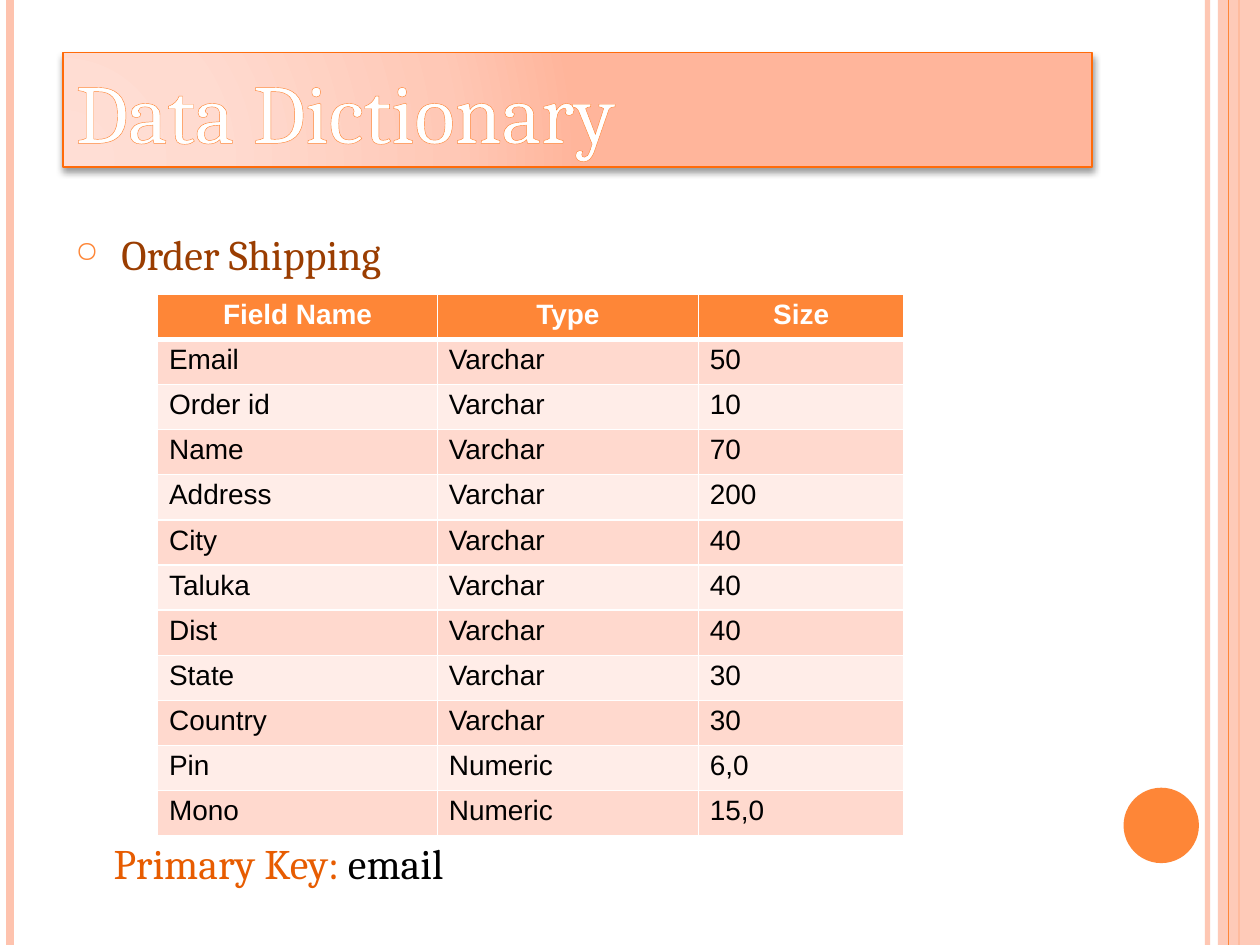
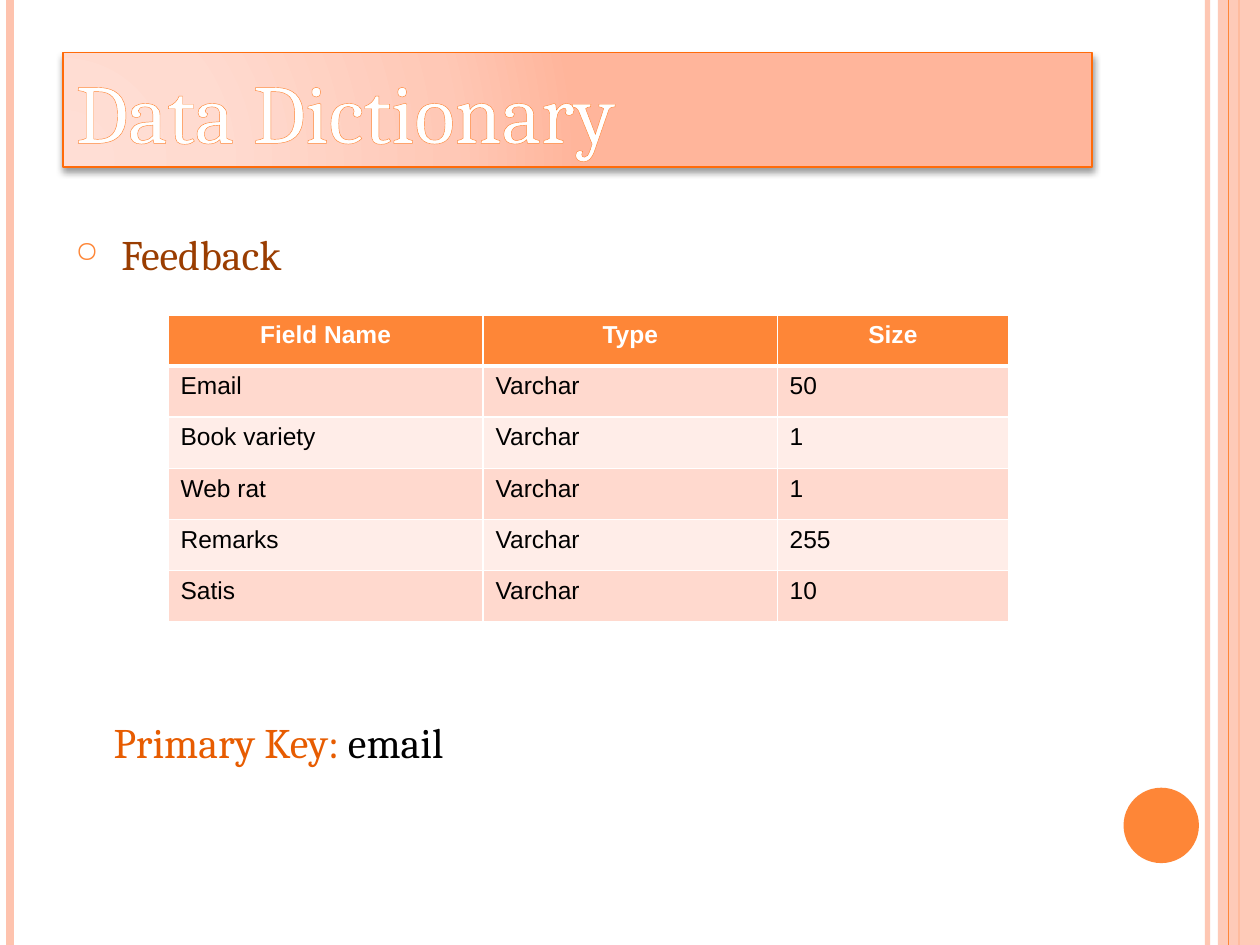
"""Build two data dictionary slides that share one decorated frame."""
from lxml import etree
from pptx import Presentation
from pptx import oxml
from pptx import util as u
from pptx.dml.color import RGBColor
from pptx.enum import shapes, text
from pptx.oxml import ns

WHITE = RGBColor(0xFF, 0xFF, 0xFF)
BLACK = RGBColor(0x00, 0x00, 0x00)
ORANGE = RGBColor(0xFE, 0x86, 0x37)
BRIGHT_ORANGE = RGBColor(0xFF, 0x6B, 0x0A)
DEEP_ORANGE = RGBColor(0xE7, 0x5C, 0x01)
BROWN = RGBColor(0x9A, 0x3D, 0x01)
PEACH = RGBColor(0xFE, 0xC3, 0xAE)
ROW_FILLS = (RGBColor(0xFF, 0xD9, 0xCE), RGBColor(0xFF, 0xED, 0xE8))
TITLE_STOPS = (
    (0, RGBColor(0xFF, 0xDE, 0xD5)),
    (30, RGBColor(0xFF, 0xDB, 0xD0)),
    (75, RGBColor(0xFF, 0xC8, 0xB6)),
    (100, RGBColor(0xFF, 0xB5, 0x9B)),
)
SERIF, SANS = "Cambria", "Arial"
SLIDE_WIDTH, SLIDE_HEIGHT = u.Cm(25.4), u.Cm(19.05)
HEADERS = ("Field Name", "Type", "Size")

ORDER_FIELDS = (
    ("Email", "Varchar", "50"),
    ("Order id", "Varchar", "10"),
    ("Name", "Varchar", "70"),
    ("Address", "Varchar", "200"),
    ("City", "Varchar", "40"),
    ("Taluka", "Varchar", "40"),
    ("Dist", "Varchar", "40"),
    ("State", "Varchar", "30"),
    ("Country", "Varchar", "30"),
    ("Pin", "Numeric", "6,0"),
    ("Mono", "Numeric", "15,0"),
)
FEEDBACK_FIELDS = (
    ("Email", "Varchar", "50"),
    ("Book variety", "Varchar", "1"),
    ("Web rat", "Varchar", "1"),
    ("Remarks", "Varchar", "255"),
    ("Satis", "Varchar", "10"),
)


def make_xml(tag, content="", attributes=""):
    """Return a DrawingML element with the given content."""
    return oxml.parse_xml(f"<a:{tag} {ns.nsdecls('a')} {attributes}>{content}</a:{tag}>")


def solid(color):
    """Return the markup of a solid fill."""
    return f'<a:solidFill><a:srgbClr val="{color}"/></a:solidFill>'


def write(para, words, size=24, font=SERIF, color=BLACK, bold=False, outline=None):
    """Add a formatted span of text to a paragraph."""
    span = para.add_run()
    span.text = words
    span.font.size = u.Pt(size)
    span.font.name = font
    span.font.bold = bold
    span.font.color.rgb = color
    if outline is not None:
        properties = span.font._element
        properties.insert(0, make_xml("ln", solid(outline), f'w="{u.Pt(0.8)}"'))


def set_opacity(element, percent):
    """Make the solid colour inside an element partly transparent."""
    color = element.find(".//" + ns.qn("a:srgbClr"))
    etree.SubElement(color, ns.qn("a:alpha"), val=str(percent * 1000))


def add_rail(page, x, color, width, opacity=100):
    """Draw a vertical line over the full height of the slide."""
    rail = page.shapes.add_connector(
        shapes.MSO_CONNECTOR.STRAIGHT, u.Cm(x), 0, u.Cm(x), SLIDE_HEIGHT)
    rail.line.color.rgb = color
    rail.line.width = u.Pt(width)
    properties = rail._element.spPr
    properties.append(make_xml("effectLst"))
    if opacity < 100:
        set_opacity(properties, opacity)


def add_plain_shape(page, kind, left, top, width, height, color):
    """Add a preset shape with a solid fill and no line."""
    shape = page.shapes.add_shape(kind, left, top, width, height)
    shape.shadow.inherit = False
    shape.fill.solid()
    shape.fill.fore_color.rgb = color
    shape.line.fill.background()
    return shape


def add_frame(page):
    """Draw the rails, side band and disc found on every slide."""
    add_rail(page, 24.34, PEACH, 3, opacity=93)
    add_rail(page, 0.21, PEACH, 4.5)
    add_rail(page, 24.98, ORANGE, 1.5)
    band = add_plain_shape(page, shapes.MSO_SHAPE.RECTANGLE, u.Cm(24.55), 0,
                           u.Cm(0.85), SLIDE_HEIGHT, PEACH)
    set_opacity(band._element.spPr, 87)
    add_rail(page, 24.77, ORANGE, 0.75)
    add_plain_shape(page, shapes.MSO_SHAPE.OVAL, u.Cm(22.65), u.Cm(15.88),
                    u.Cm(1.52), u.Cm(1.52), ORANGE)


def format_title(title, words):
    """Place the title and give it a gradient, a border and a shadow."""
    title.left, title.top = u.Cm(1.27), u.Cm(1.06)
    title.width, title.height = u.Cm(20.75), u.Cm(2.31)
    title.line.color.rgb = BRIGHT_ORANGE
    title.line.width = u.Pt(1)
    stops = "".join(
        f'<a:gs pos="{position * 1000}"><a:srgbClr val="{color}"/></a:gs>'
        for position, color in TITLE_STOPS)
    gradient = make_xml(
        "gradFill",
        f'<a:gsLst>{stops}</a:gsLst><a:path path="circle">'
        '<a:fillToRect l="5000" t="100000" r="120000" b="10000"/></a:path>',
        'rotWithShape="1"')
    shadow = make_xml(
        "effectLst",
        f'<a:outerShdw blurRad="{u.Pt(4)}" dist="{u.Pt(2)}" dir="5400000" rotWithShape="0">'
        '<a:srgbClr val="000000"><a:alpha val="40000"/></a:srgbClr></a:outerShdw>')
    properties = title._element.spPr
    properties.find(ns.qn("a:ln")).addprevious(gradient)
    properties.append(shadow)
    frame = title.text_frame
    frame.auto_size = text.MSO_AUTO_SIZE.NONE
    frame.vertical_anchor = text.MSO_ANCHOR.MIDDLE
    para = frame.paragraphs[0]
    para.alignment = text.PP_ALIGN.LEFT
    write(para, words, size=48, color=WHITE, outline=ORANGE)


def add_text_line(page, left, top):
    """Add a one-line text box and return its paragraph."""
    box = page.shapes.add_textbox(u.Cm(left), u.Cm(top), u.Cm(18), u.Cm(1.27))
    box.text_frame.word_wrap = True
    box.text_frame.vertical_anchor = text.MSO_ANCHOR.MIDDLE
    return box.text_frame.paragraphs[0]


def add_heading(page, words):
    """Add the bulleted name of the described table."""
    para = add_text_line(page, 1.27, 4.48)
    write(para, words, color=BROWN)
    properties = para._p.get_or_add_pPr()
    indent = u.Cm(0.93)
    properties.set("marL", str(indent))
    properties.set("indent", str(-indent))
    properties.append(make_xml("buClr", f'<a:srgbClr val="{ORANGE}"/>'))
    properties.append(make_xml("buSzPct", attributes='val="70000"'))
    properties.append(make_xml("buChar", attributes='char="○"'))


def add_primary_key(page, top, field):
    """Add the line that names the primary key."""
    para = add_text_line(page, 2.04, top)
    write(para, "Primary Key: ", color=DEEP_ORANGE)
    write(para, field)


def format_cell(cell, words, row, size):
    """Fill, border and write one table cell."""
    is_header = row == 0
    thick_side = {0: "B", 1: "T"}.get(row)
    properties = cell._tc.get_or_add_tcPr()
    for side in "LRTB":
        width = u.Pt(3 if side == thick_side else 1)
        properties.append(make_xml("ln" + side, solid(WHITE), f'w="{width}"'))
    cell.fill.solid()
    cell.fill.fore_color.rgb = ORANGE if is_header else ROW_FILLS[(row - 1) % 2]
    para = cell.text_frame.paragraphs[0]
    para.alignment = text.PP_ALIGN.CENTER if is_header else text.PP_ALIGN.LEFT
    write(para, words, size=size, font=SANS, bold=is_header,
          color=WHITE if is_header else BLACK)


def add_field_table(page, fields, left, top, widths, row_height, size, margins=(0.25, 0.13)):
    """Add the table of field names, types and sizes."""
    rows = (HEADERS, *fields)
    table = page.shapes.add_table(
        len(rows), len(HEADERS), u.Cm(left), u.Cm(top),
        u.Cm(sum(widths)), u.Cm(row_height * len(rows))).table
    table.first_row = table.horz_banding = False
    for column, width in zip(table.columns, widths):
        column.width = u.Cm(width)
    for index, values in enumerate(rows):
        table.rows[index].height = u.Cm(row_height)
        for cell, words in zip(table.rows[index].cells, values):
            cell.margin_left = cell.margin_right = u.Cm(margins[0])
            cell.margin_top = cell.margin_bottom = u.Cm(margins[1])
            format_cell(cell, words, index, size)


def add_page(deck, heading, key_top):
    """Add a slide with the shared frame, title, heading and key line."""
    page = deck.slides.add_slide(deck.slide_layouts[5])
    add_frame(page)
    format_title(page.shapes.title, "Data Dictionary")
    add_heading(page, heading)
    add_primary_key(page, key_top, "email")
    return page


def main():
    """Build and save the deck."""
    deck = Presentation()
    deck.slide_width, deck.slide_height = SLIDE_WIDTH, SLIDE_HEIGHT

    shipping = add_page(deck, "Order Shipping", key_top=16.76)
    add_field_table(shipping, ORDER_FIELDS, 3.18, 5.93, (5.64, 5.26, 4.14),
                    row_height=0.91, size=16, margins=(0.23, 0.1))

    feedback = add_page(deck, "Feedback", key_top=14.32)
    add_field_table(feedback, FEEDBACK_FIELDS, 3.39, 6.35, (6.35, 5.93, 4.66),
                    row_height=1.03, size=14)

    deck.save("out.pptx")


if __name__ == "__main__":
    main()
